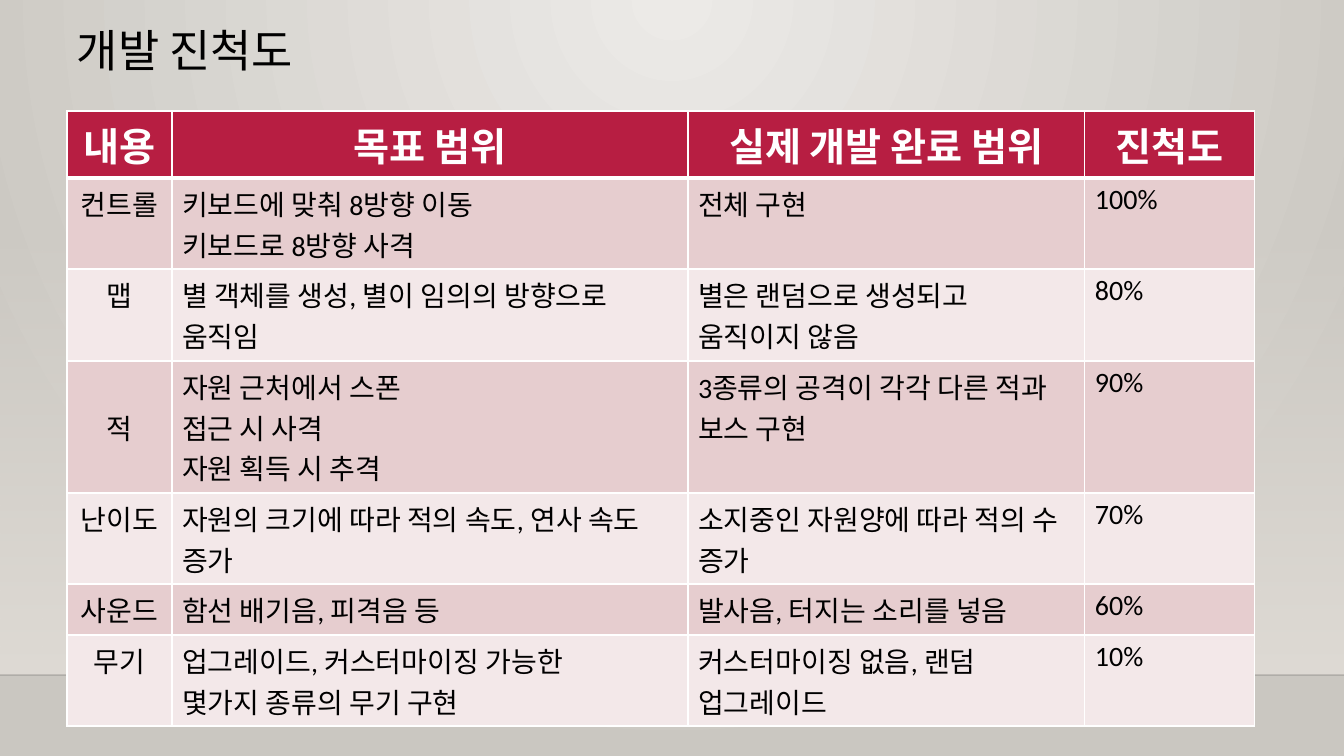
from lxml import etree
from pptx import Presentation, util as u
from pptx.dml.color import RGBColor
from pptx.enum import shapes, text
from pptx.oxml import parse_xml
from pptx.oxml.ns import nsdecls, qn

PX = 914400 / 100.8
COLORS = {
    "glow": "ECEAE7", "edge": "CAC7C1", "wall": "DFDBD5", "black": "000000",
    "white": "FFFFFF", "header": "B71E42", "odd": "E6CDCF", "even": "F3E8E9",
}


def px(n):
    return u.Emu(round(n * PX))


def write(paragraph, words, size, color, bold=False):
    run = paragraph.add_run()
    run.text = words
    run.font.name = "Calibri"
    run.font.size = u.Pt(size)
    run.font.bold = bold
    run.font.color.rgb = RGBColor.from_string(COLORS[color])


prs = Presentation()
prs.slide_width, prs.slide_height = px(1344), px(756)
slide = prs.slides.add_slide(prs.slide_layouts[6])

# Background: light glowing from the top centre
backdrop = slide.background.fill
backdrop.gradient()
for stop, name in zip(backdrop.gradient_stops, ("glow", "edge")):
    stop.color.rgb = RGBColor.from_string(COLORS[name])
grad = slide.background._cSld.find(".//" + qn("a:gradFill"))
grad.replace(grad.find(qn("a:lin")), parse_xml(
    f'<a:path {nsdecls("a")} path="circle">'
    '<a:fillToRect l="43000" t="0" r="43000" b="100000"/></a:path>'))

# Wall fading in towards the floor line
wall = slide.shapes.add_shape(shapes.MSO_SHAPE.RECTANGLE, 0, px(223), px(1344), px(452))
wall.shadow.inherit = False
wall.line.fill.background()
wall.fill.gradient()
wall.fill.gradient_angle = 270
for stop in wall.fill.gradient_stops:
    stop.color.rgb = RGBColor.from_string(COLORS["wall"])
clear = wall._element.spPr.find(".//" + qn("a:srgbClr"))
etree.SubElement(clear, qn("a:alpha"), val="0")

floor = slide.shapes.add_connector(shapes.MSO_CONNECTOR.STRAIGHT, 0, px(675), px(1344), px(675))
floor.line.width = u.Pt(1)
floor.line.color.rgb = RGBColor.from_string(COLORS["black"])
etree.SubElement(floor._element.spPr.find(".//" + qn("a:srgbClr")), qn("a:alpha"), val="20000")
etree.SubElement(floor._element.spPr, qn("a:effectLst"))

title = slide.shapes.add_textbox(px(67), px(24), px(1058), px(116)).text_frame
title.word_wrap = True
title.paragraphs[0].line_spacing = 0.9
write(title.paragraphs[0], "개발 진척도", 32, "black")

# Progress table: each cell is a list of paragraphs
progress = [
    (67, ["내용"], ["목표 범위"], ["실제 개발 완료 범위"], ["진척도"]),
    (91, ["컨트롤"], ["키보드에 맞춰 8방향 이동", "키보드로 8방향 사격"], ["전체 구현"], ["100%"]),
    (92, ["맵"], ["별 객체를 생성, 별이 임의의 방향으로 움직임"],
     ["별은 랜덤으로 생성되고 움직이지 않음"], ["80%"]),
    (132, ["적"], ["자원 근처에서 스폰", "접근 시 사격", "자원 획득 시 추격"],
     ["3종류의 공격이 각각 다른 적과 보스 구현"], ["90%"]),
    (91, ["난이도"], ["자원의 크기에 따라 적의 속도, 연사 속도 증가"],
     ["소지중인 자원양에 따라 적의 수 증가"], ["70%"]),
    (51, ["사운드"], ["함선 배기음, 피격음 등"], ["발사음, 터지는 소리를 넣음"], ["60%"]),
    (91, ["무기"], ["업그레이드, 커스터마이징 가능한", "몇가지 종류의 무기 구현"],
     ["커스터마이징 없음, 랜덤 업그레이드"], ["10%"]),
]
widths = [105, 516, 397, 170]
table = slide.shapes.add_table(len(progress), len(widths), px(67), px(111),
                               px(sum(widths)), px(sum(row[0] for row in progress))).table
for column, width in zip(table.columns, widths):
    column.width = px(width)

for r, (height, *contents) in enumerate(progress):
    table.rows[r].height = px(height)
    is_header = r == 0
    band = "header" if is_header else "odd" if r % 2 else "even"
    for c, lines in enumerate(contents):
        cell = table.cell(r, c)
        for side in "LRTB":
            thick = (r, side) in ((0, "B"), (1, "T"))
            cell._tc.get_or_add_tcPr().append(parse_xml(
                f'<a:ln{side} {nsdecls("a")} w="{u.Pt(3 if thick else 1)}"><a:solidFill>'
                f'<a:srgbClr val="{COLORS["white"]}"/></a:solidFill></a:ln{side}>'))
        cell.fill.solid()
        cell.fill.fore_color.rgb = RGBColor.from_string(COLORS[band])
        if lines == ["적"]:
            cell.vertical_anchor = text.MSO_ANCHOR.MIDDLE
        for i, line in enumerate(lines):
            frame = cell.text_frame
            paragraph = frame.add_paragraph() if i else frame.paragraphs[0]
            if is_header or c == 0:
                paragraph.alignment = text.PP_ALIGN.CENTER
            write(paragraph, line, 28 if is_header else 20,
                  "white" if is_header else "black", is_header)

prs.save("out.pptx")
